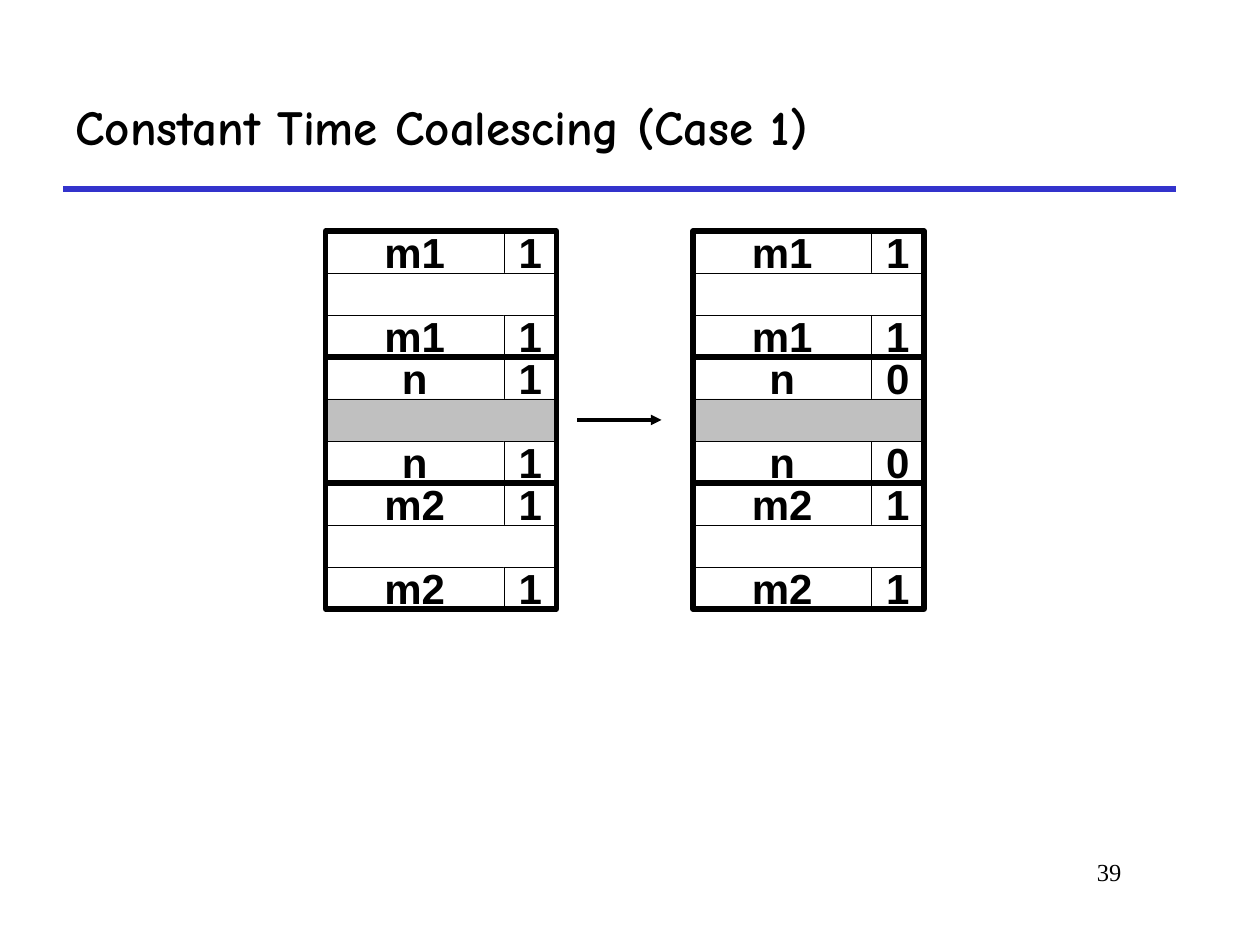
from dataclasses import dataclass

from lxml import etree
from pptx import Presentation
from pptx.dml.color import RGBColor
from pptx.enum import shapes, text
from pptx.oxml import ns
from pptx.util import Pt


@dataclass(frozen=True)
class Theme:
    ink: RGBColor = RGBColor(0x00, 0x00, 0x00)
    paper: RGBColor = RGBColor(0xFF, 0xFF, 0xFF)
    rule: RGBColor = RGBColor(0x33, 0x33, 0xCC)
    current: RGBColor = RGBColor(0xC0, 0xC0, 0xC0)
    title_font: str = "Comic Neue"
    cell_font: str = "Arial"
    number_font: str = "Times New Roman"
    title_size: int = 28
    cell_size: int = 24
    number_size: int = 14
    thin: float = 0.25
    medium: float = 2
    thick: float = 3


THEME = Theme()
ROW_HEIGHT = 24
SIZE_WIDTH = 102
FLAG_WIDTH = 30
BLOCK_WIDTH = SIZE_WIDTH + FLAG_WIDTH
BLOCK_HEIGHT = 3 * ROW_HEIGHT
HEAP_TOP = 132

# Each heap lists its blocks as (size, allocated flag, body colour).
HEAPS = [
    (186, [("m1", "1", THEME.paper), ("n", "1", THEME.current), ("m2", "1", THEME.paper)]),
    (396, [("m1", "1", THEME.paper), ("n", "0", THEME.current), ("m2", "1", THEME.paper)]),
]


def write_text(shape, content, *, font, size, bold=False, wrap=True,
               align=text.PP_ALIGN.LEFT, anchor=text.MSO_ANCHOR.MIDDLE):
    frame = shape.text_frame
    frame.auto_size = text.MSO_AUTO_SIZE.NONE
    frame.word_wrap = wrap
    frame.vertical_anchor = anchor
    paragraph = frame.paragraphs[0]
    paragraph.alignment = align
    run = paragraph.add_run()
    run.text = content
    run.font.name = font
    run.font.size = Pt(size)
    run.font.bold = bold
    run.font.color.rgb = THEME.ink


def add_box(slide, left, top, width, height, *, fill=None, line=THEME.thin):
    box = slide.shapes.add_shape(
        shapes.MSO_SHAPE.RECTANGLE, Pt(left), Pt(top), Pt(width), Pt(height))
    box.shadow.inherit = False
    if fill is None:
        box.fill.background()
    else:
        box.fill.solid()
        box.fill.fore_color.rgb = fill
    box.line.color.rgb = THEME.ink
    box.line.width = Pt(line)
    return box


def add_line(slide, start, end, *, color, width, arrow=False):
    line = slide.shapes.add_connector(
        shapes.MSO_CONNECTOR.STRAIGHT, *(Pt(value) for value in (*start, *end)))
    line.line.color.rgb = color
    line.line.width = Pt(width)
    if arrow:
        etree.SubElement(line.line._get_or_add_ln(), ns.qn("a:tailEnd"), type="triangle")
    etree.SubElement(line._element.spPr, ns.qn("a:effectLst"))


def add_tag(slide, left, top, size, flag):
    """Draw a header or footer row: the block size beside its allocated flag."""
    for offset, width, content in ((0, SIZE_WIDTH, size), (SIZE_WIDTH, FLAG_WIDTH, flag)):
        cell = add_box(slide, left + offset, top, width, ROW_HEIGHT, fill=THEME.paper)
        write_text(cell, content, font=THEME.cell_font, size=THEME.cell_size,
                   bold=True, wrap=False, align=text.PP_ALIGN.CENTER)


def add_block(slide, left, top, size, flag, body_color):
    """Draw header, body and footer rows inside a heavy outline."""
    add_tag(slide, left, top, size, flag)
    add_box(slide, left, top + ROW_HEIGHT, BLOCK_WIDTH, ROW_HEIGHT, fill=body_color)
    add_tag(slide, left, top + 2 * ROW_HEIGHT, size, flag)
    add_box(slide, left, top, BLOCK_WIDTH, BLOCK_HEIGHT, line=THEME.thick)


def add_title(slide, content):
    title = slide.shapes.title
    title.left, title.top, title.width, title.height = Pt(36), Pt(36), Pt(636), Pt(72)
    write_text(title, content, font=THEME.title_font, size=THEME.title_size, bold=True)


def add_page_number(slide, number):
    box = slide.shapes.add_textbox(Pt(546), Pt(486), Pt(102), Pt(36))
    write_text(box, number, font=THEME.number_font, size=THEME.number_size,
               align=text.PP_ALIGN.RIGHT, anchor=text.MSO_ANCHOR.TOP)


def main():
    presentation = Presentation()
    presentation.slide_width, presentation.slide_height = Pt(720), Pt(540)
    slide = presentation.slides.add_slide(presentation.slide_layouts.get_by_name("Title Only"))

    add_title(slide, "Constant Time Coalescing (Case 1)")
    add_line(slide, (36, 108), (672, 108), color=THEME.rule, width=THEME.thick)
    for left, blocks in HEAPS:
        for index, block in enumerate(blocks):
            add_block(slide, left, HEAP_TOP + index * BLOCK_HEIGHT, *block)
    middle = HEAP_TOP + 1.5 * BLOCK_HEIGHT
    add_line(slide, (330, middle), (378, middle), color=THEME.ink,
             width=THEME.medium, arrow=True)
    add_page_number(slide, "39")

    presentation.save("out.pptx")


if __name__ == "__main__":
    main()
